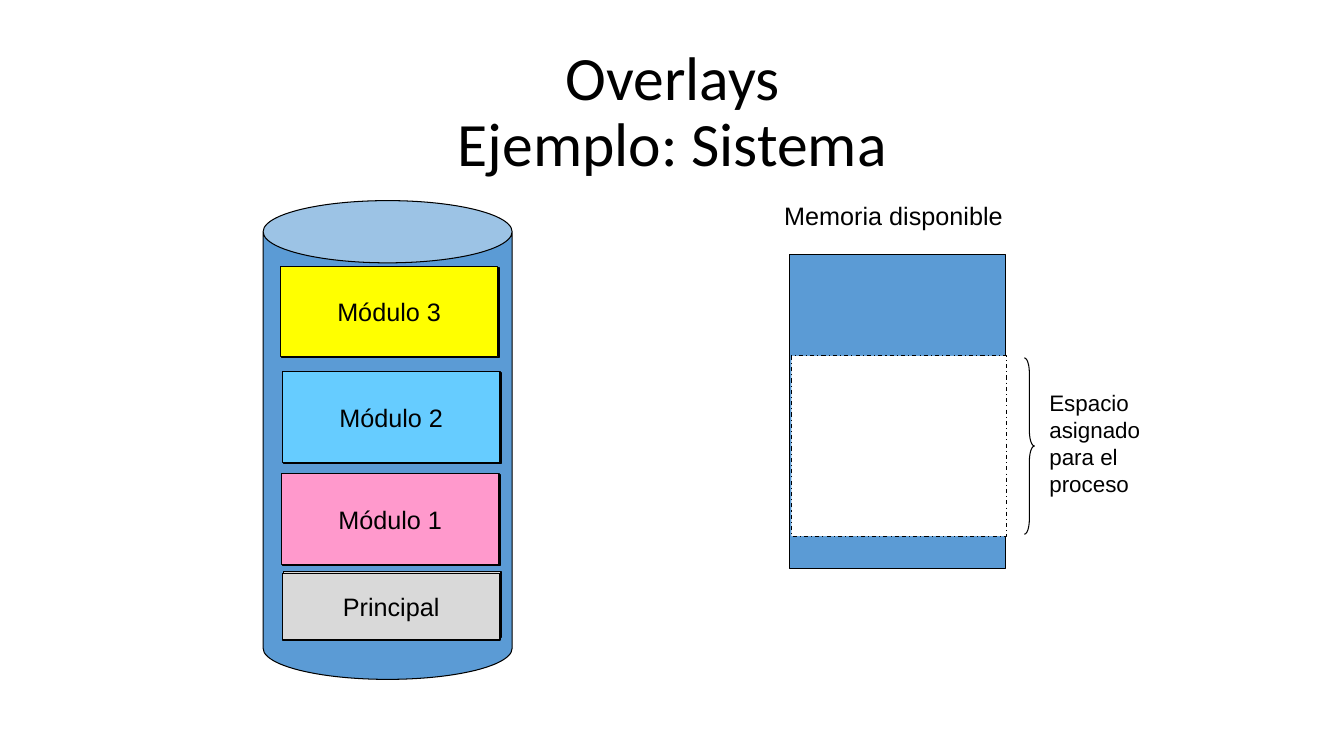
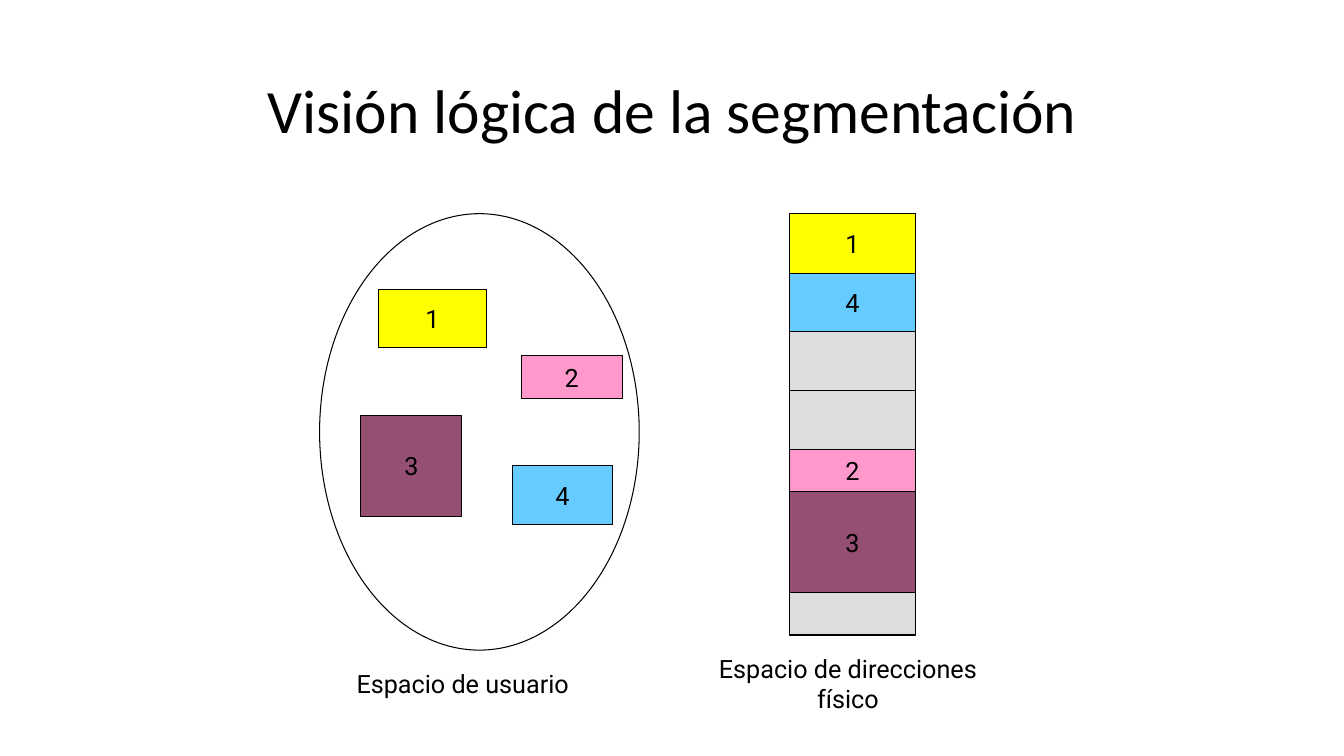
"""Build two slides on memory overlays and segmentation."""
from pptx import Presentation
from pptx import util as u
from pptx.dml.color import RGBColor
from pptx.enum import dml, shapes, text

PX = 9144
BLACK = RGBColor(0x00, 0x00, 0x00)
WHITE = RGBColor(0xFF, 0xFF, 0xFF)
BLUE = RGBColor(0x5B, 0x9B, 0xD5)
YELLOW = RGBColor(0xFF, 0xFF, 0x00)
SKY = RGBColor(0x66, 0xCC, 0xFF)
PINK = RGBColor(0xFF, 0x99, 0xCC)
PLUM = RGBColor(0x95, 0x4F, 0x72)
GREY = RGBColor(0xDD, 0xDD, 0xDD)
SILVER = RGBColor(0xD9, 0xD9, 0xD9)
KIND = shapes.MSO_SHAPE
LEFT, MID = text.PP_ALIGN.LEFT, text.PP_ALIGN.CENTER

MODULES = [
    ("Principal", (280, 569, 216, 66), SILVER, -2),
    ("Módulo 1", (279, 470, 216, 90), PINK, 1),
    ("Módulo 2", (280, 369, 216, 90), SKY, 1),
    ("Módulo 3", (278, 264, 216, 90), YELLOW, 1),
]
SPACE = ["Espacio", "asignado", "para el", "proceso"]

TINTS = {"1": YELLOW, "2": PINK, "3": PLUM, "4": SKY, "": GREY}
USER = [
    ("1", (375, 287, 108, 58)),
    ("3", (358, 412, 100, 100)),
    ("2", (517, 353, 100, 42)),
    ("4", (508, 462, 100, 58)),
]
STACK = [("1", 59), ("4", 58), ("", 58), ("", 59), ("2", 42), ("3", 100), ("", 42)]


def place(box):
    return [n * PX for n in box]


def write(para, lines, font, size):
    for i, line in enumerate(lines):
        if i:
            para.add_line_break()
        run = para.add_run()
        run.text = line
        run.font.name, run.font.size = font, u.Pt(size)
        run.font.color.rgb = BLACK


def fill_text(frame, paras, font, size, align):
    frame.word_wrap = False
    frame.vertical_anchor = text.MSO_ANCHOR.MIDDLE
    for i, lines in enumerate(paras):
        para = frame.add_paragraph() if i else frame.paragraphs[0]
        para.alignment = align
        write(para, lines, font, size)


def label(slide, box, paras, font, size=18, align=LEFT):
    frame = slide.shapes.add_textbox(*place(box)).text_frame
    fill_text(frame, paras, font, size, align)


def draw(slide, box, color=None, kind=KIND.RECTANGLE, name="", font="Arial"):
    shape = slide.shapes.add_shape(kind, *place(box))
    shape.shadow.inherit = False
    if color is None:
        shape.fill.background()
    else:
        shape.fill.solid()
        shape.fill.fore_color.rgb = color
    shape.line.color.rgb = BLACK
    shape.line.width = u.Pt(0.75)
    if name:
        fill_text(shape.text_frame, [[name]], font, 18, MID)
    return shape


def start(deck, lines):
    slide = deck.slides.add_slide(deck.slide_layouts[5])
    title = slide.shapes.title
    title.left, title.top, title.width, title.height = place((92, 40, 1150, 145))
    frame = title.text_frame
    frame.auto_size = text.MSO_AUTO_SIZE.NONE
    frame.vertical_anchor = text.MSO_ANCHOR.MIDDLE
    para = frame.paragraphs[0]
    para.alignment, para.line_spacing = MID, 0.9
    write(para, lines, "Calibri", 44)
    return slide


def overlays(deck):
    slide = start(deck, ["Overlays", "Ejemplo: Sistema"])
    draw(slide, (783, 252, 214, 312), BLUE)
    gap = draw(slide, (785, 353, 213, 179), WHITE)
    gap.line.dash_style = dml.MSO_LINE.DASH_DOT
    disk = draw(slide, (261, 199, 247, 475), BLUE, KIND.CAN)
    disk.adjustments[0] = 0.25
    for name, (x, y, w, h), color, dy in MODULES:
        draw(slide, (x + 1, y + dy, w, h), color)
        draw(slide, (x, y, w, h), color, name=name)
    label(slide, (768, 194, 237, 40), [["Memoria disponible"]], "Arial")
    brace = draw(slide, (1016, 355, 10, 175), kind=KIND.RIGHT_BRACE)
    brace.adjustments[0] = 1.5
    label(slide, (1031, 381, 110, 117), [[word] for word in SPACE], "Arial", 16)


def segments(deck):
    slide = start(deck, ["Visión lógica de la segmentación"])
    draw(slide, (317, 212, 317, 433), WHITE, KIND.OVAL)
    for name, box in USER:
        draw(slide, box, TINTS[name], name=name, font="Roboto")
    top = 212
    for name, high in STACK:
        draw(slide, (783, top, 125, high), TINTS[name], name=name, font="Roboto")
        top += high
    label(slide, (339, 658, 240, 40), [["Espacio de usuario"]], "Roboto", align=MID)
    label(slide, (670, 658, 342, 40), [["Espacio de direcciones", "físico"]],
          "Roboto", align=MID)


def main():
    deck = Presentation()
    deck.slide_width, deck.slide_height = place((1333, 750))
    overlays(deck)
    segments(deck)
    deck.save("out.pptx")


if __name__ == "__main__":
    main()
